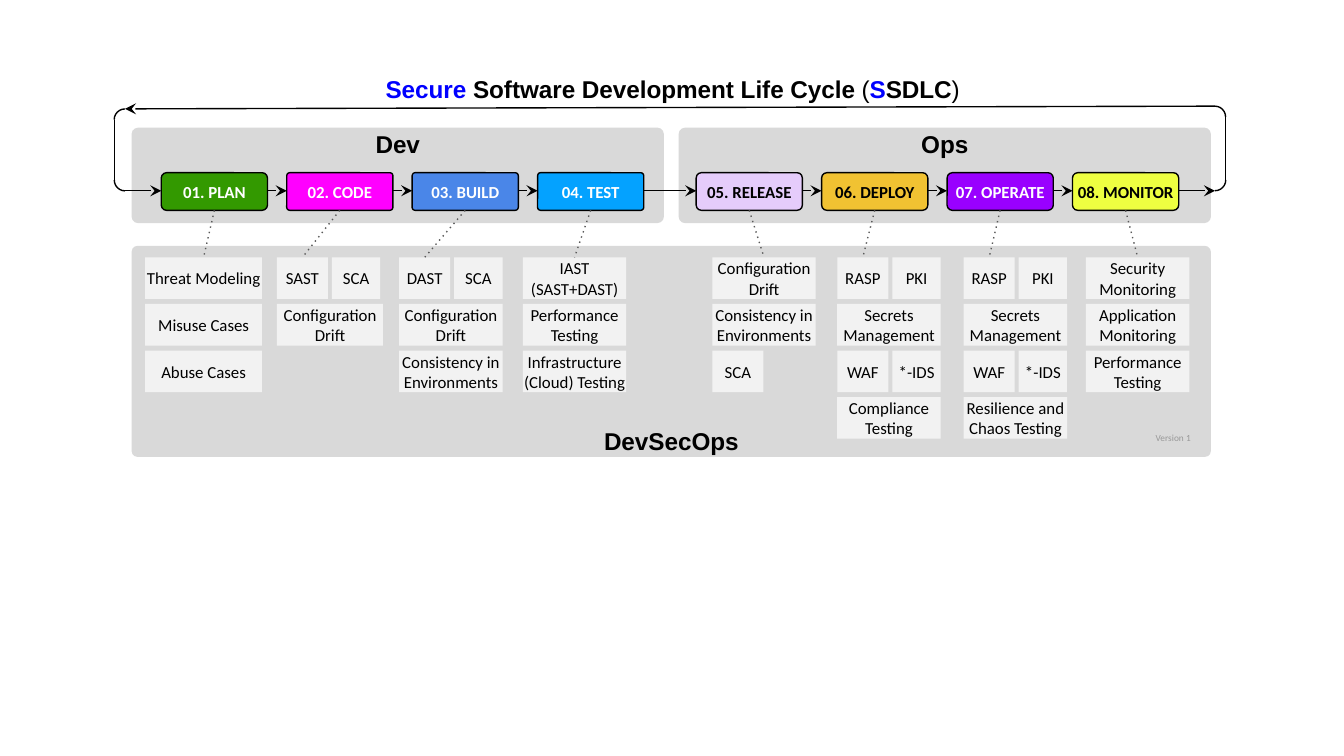
import collections

import pptx
import pptx.dml.color
import pptx.enum.shapes
import pptx.enum.text
import pptx.oxml
import pptx.oxml.ns
import pptx.util

RGBColor = pptx.dml.color.RGBColor
SHAPE = pptx.enum.shapes.MSO_SHAPE
ANCHOR = pptx.enum.text.MSO_ANCHOR

BLACK = RGBColor(0x00, 0x00, 0x00)
WHITE = RGBColor(0xFF, 0xFF, 0xFF)
BLUE = RGBColor(0x00, 0x00, 0xFF)
PANEL_GRAY = RGBColor(0xD9, 0xD9, 0xD9)
CARD_GRAY = RGBColor(0xF2, 0xF2, 0xF2)
DOT_GRAY = RGBColor(0x59, 0x59, 0x59)
VERSION_GRAY = RGBColor(0x99, 0x99, 0x99)
GREEN = RGBColor(0x33, 0x99, 0x00)
MAGENTA = RGBColor(0xFF, 0x00, 0xFF)
MID_BLUE = RGBColor(0x4A, 0x86, 0xE8)
SKY_BLUE = RGBColor(0x04, 0xA2, 0xFF)
LILAC = RGBColor(0xE5, 0xCC, 0xFB)
AMBER = RGBColor(0xF1, 0xC2, 0x32)
PURPLE = RGBColor(0x99, 0x00, 0xFF)
YELLOW = RGBColor(0xEE, 0xFF, 0x41)

# The grid: 1000 columns across the slide, in square cells
CELL = pptx.util.Inches(0.01)
SLIDE_COLS, SLIDE_ROWS = 1000, 562.5
Box = collections.namedtuple("Box", "left top width height")

STAGE_W, STAGE_H, STAGE_PITCH = 79, 28, 280 / 3
CARD_H, CARD_PITCH = 31, 104 / 3
HALF_CARDS = [(0, 38), (41, 36)]  # offset and width of cards sharing a row
CORNER = 16

# Label, fill, text colour, corner radius
DEV_STAGES = [
    ("01. PLAN", GREEN, WHITE, 0.14),
    ("02. CODE", MAGENTA, WHITE, 0.08),
    ("03. BUILD", MID_BLUE, WHITE, 0.08),
    ("04. TEST", SKY_BLUE, WHITE, 0.08),
]
OPS_STAGES = [
    ("05. RELEASE", LILAC, BLACK, 0.14),
    ("06. DEPLOY", AMBER, BLACK, 0.14),
    ("07. OPERATE", PURPLE, WHITE, 0.14),
    ("08. MONITOR", YELLOW, BLACK, 0.14),
]

# Offset in the panel, width, rows of cards (a tuple holds half-width cards)
PRACTICES = [
    (10, 87, ["Threat Modeling", "Misuse Cases", "Abuse Cases"]),
    (108, 79, [("SAST", "SCA"), "Configuration Drift"]),
    (199, 77, [("DAST", "SCA"), "Configuration Drift", "Consistency in Environments"]),
    (291, 77, ["IAST (SAST+DAST)", "Performance Testing", "Infrastructure (Cloud) Testing"]),
    (432, 77, ["Configuration Drift", "Consistency in Environments", ("SCA",)]),
    (525, 77, [("RASP", "PKI"), "Secrets Management", ("WAF", "*-IDS"), "Compliance Testing"]),
    (619, 77, [("RASP", "PKI"), "Secrets Management", ("WAF", "*-IDS"),
               "Resilience and Chaos Testing"]),
    (710, 77, ["Security Monitoring", "Application Monitoring", "Performance Testing"]),
]


def cells(*lengths):
    return [round(length * CELL) for length in lengths]


def write_text(shape, text, size=9, font="Calibri", color=BLACK, bold=False,
               anchor=ANCHOR.MIDDLE, inset_x=0, inset_y=4):
    """Text is a string, or a list of (string, colour, bold) runs."""
    frame = shape.text_frame
    frame.word_wrap = True
    frame.vertical_anchor = anchor
    frame.margin_left = frame.margin_right = cells(inset_x)[0]
    frame.margin_top = frame.margin_bottom = cells(inset_y)[0]
    line = frame.paragraphs[0]
    line.alignment = pptx.enum.text.PP_ALIGN.CENTER
    runs = [(text, color, bold)] if isinstance(text, str) else text
    for words, run_color, run_bold in runs:
        run = line.add_run()
        run.text = words
        run.font.name = font
        run.font.size = pptx.util.Pt(size)
        run.font.bold = run_bold
        run.font.color.rgb = run_color


def draw_shape(slide, kind, box, fill=None, outline=False, radius=None):
    shape = slide.shapes.add_shape(kind, *cells(*box))
    shape.shadow.inherit = False
    if fill is None:
        shape.fill.background()
    else:
        shape.fill.solid()
        shape.fill.fore_color.rgb = fill
    if outline:
        shape.line.color.rgb = BLACK
        shape.line.width = pptx.util.Pt(0.75)
    else:
        shape.line.fill.background()
    if radius is not None:
        shape.adjustments[0] = radius
    return shape


def draw_line(slide, start, end, color=BLACK, arrow=False, dotted=False):
    line = slide.shapes.add_connector(
        pptx.enum.shapes.MSO_CONNECTOR.STRAIGHT, *cells(*start, *end))
    line.line.color.rgb = color
    line.line.width = pptx.util.Pt(0.75)
    stroke = line.line._get_or_add_ln()
    if dotted:
        dash = pptx.oxml.parse_xml(
            f'<a:prstDash {pptx.oxml.ns.nsdecls("a")} val="dot"/>')
        stroke.append(dash)
    if arrow:
        tip = pptx.oxml.parse_xml(
            f'<a:tailEnd {pptx.oxml.ns.nsdecls("a")} type="stealth"/>')
        stroke.append(tip)
    line._element.spPr.append(pptx.oxml.parse_xml(
        f'<a:effectLst {pptx.oxml.ns.nsdecls("a")}/>'))


def draw_title(slide, box):
    title = slide.shapes.add_textbox(*cells(*box))
    write_text(title, [
        ("Secure ", BLUE, True),
        ("Software Development Life Cycle", BLACK, True),
        (" (", BLACK, False),
        ("S", BLUE, True),
        ("SDLC", BLACK, True),
        (")", BLACK, False),
    ], size=13, font="Arial", inset_x=9, inset_y=9)


def draw_phase(slide, box, name, stages, indent):
    """Draw a panel with its row of stages; return the stage boxes."""
    panel = draw_shape(slide, SHAPE.ROUNDED_RECTANGLE, box, PANEL_GRAY, radius=0.065)
    write_text(panel, name, size=13, font="Arial", bold=True, anchor=ANCHOR.TOP, inset_y=0)
    stage_boxes = []
    for i, (label, fill, color, radius) in enumerate(stages):
        stage_box = Box(box.left + indent + i * STAGE_PITCH, box.top + 33.5, STAGE_W, STAGE_H)
        stage = draw_shape(slide, SHAPE.ROUNDED_RECTANGLE, stage_box, fill, True, radius)
        write_text(stage, label, color=color, bold=True)
        stage_boxes.append(stage_box)
    return stage_boxes


def draw_flow(slide, box, stages):
    """Link the stages and close the loop along the edges of the box."""
    right, bottom = box.left + box.width, box.top + box.height
    curve = CORNER / 2
    exits = [box.left + curve] + [stage.left + STAGE_W for stage in stages]
    entries = [stage.left for stage in stages] + [right - curve]
    for leave, enter in zip(exits, entries):
        draw_line(slide, (leave, bottom), (enter, bottom), arrow=True)

    # Return path: the right end sits a little higher than the left
    left_top, right_top = box.top + 2, box.top
    draw_line(slide, (right - curve, right_top), (box.left + curve, left_top), arrow=True)
    draw_line(slide, (box.left, bottom - curve), (box.left, left_top + curve))
    draw_line(slide, (right, bottom - curve), (right, right_top + curve))
    corners = [
        (right - CORNER, right_top, 0),
        (right - CORNER, bottom - CORNER, 90),
        (box.left, bottom - CORNER, 180),
        (box.left, left_top, 270),
    ]
    for left, top, turn in corners:
        arc = draw_shape(slide, SHAPE.ARC, Box(left, top, CORNER, CORNER), outline=True)
        arc.rotation = turn


def draw_practices(slide, box, stages):
    panel = draw_shape(slide, SHAPE.ROUNDED_RECTANGLE, box, PANEL_GRAY, radius=0.028)
    write_text(panel, "DevSecOps", size=13, font="Arial", bold=True,
               anchor=ANCHOR.BOTTOM, inset_y=0)
    for stage, (offset, width, rows) in zip(stages, PRACTICES):
        left, top = box.left + offset, box.top + 8.5
        for i, row in enumerate(rows):
            if isinstance(row, str):
                cards = [(row, (0, width))]
            else:
                cards = list(zip(row, HALF_CARDS))
            for label, (shift, card_w) in cards:
                card_box = Box(left + shift, top + i * CARD_PITCH, card_w, CARD_H)
                write_text(draw_shape(slide, SHAPE.RECTANGLE, card_box, CARD_GRAY), label)

        # Dotted link from the stage to the first card
        first_w = width if isinstance(rows[0], str) else HALF_CARDS[0][1]
        draw_line(slide, (stage.left + STAGE_W / 2, stage.top + STAGE_H),
                  (left + first_w / 2, top), DOT_GRAY, dotted=True)

    version = draw_shape(slide, SHAPE.RECTANGLE,
                         Box(box.left + 752, box.top + 137, 46, 12), PANEL_GRAY)
    write_text(version, "Version 1", size=5, color=VERSION_GRAY, inset_x=4)


def main():
    deck = pptx.Presentation()
    deck.slide_width, deck.slide_height = cells(SLIDE_COLS, SLIDE_ROWS)
    slide = deck.slides.add_slide(deck.slide_layouts[6])
    draw_title(slide, Box(251, 52, 499, 28))
    stages = draw_phase(slide, Box(98, 95, 396, 71), "Dev", DEV_STAGES, 22)
    stages += draw_phase(slide, Box(505, 95, 396, 71), "Ops", OPS_STAGES, 13)
    draw_flow(slide, Box(85, 79, 827, 63), stages)
    draw_practices(slide, Box(98, 183, 803, 157), stages)
    deck.save("out.pptx")


if __name__ == "__main__":
    main()
